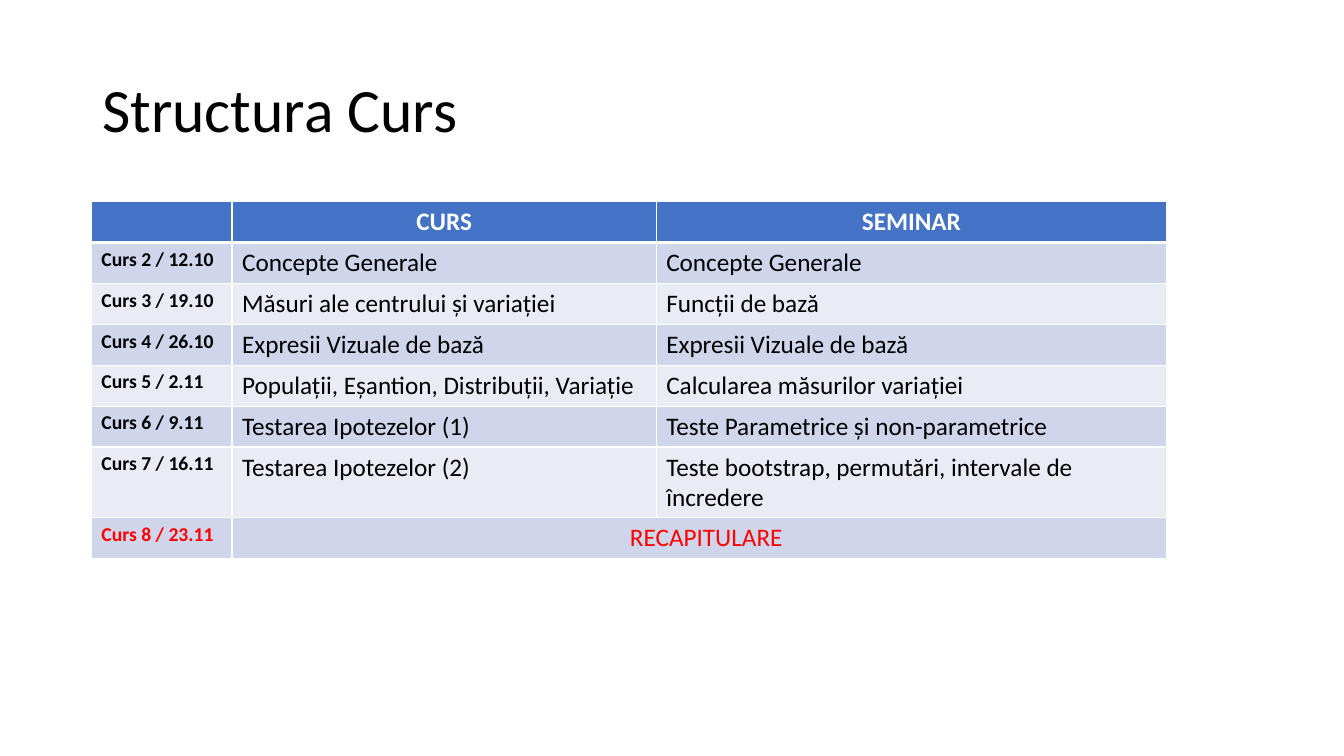
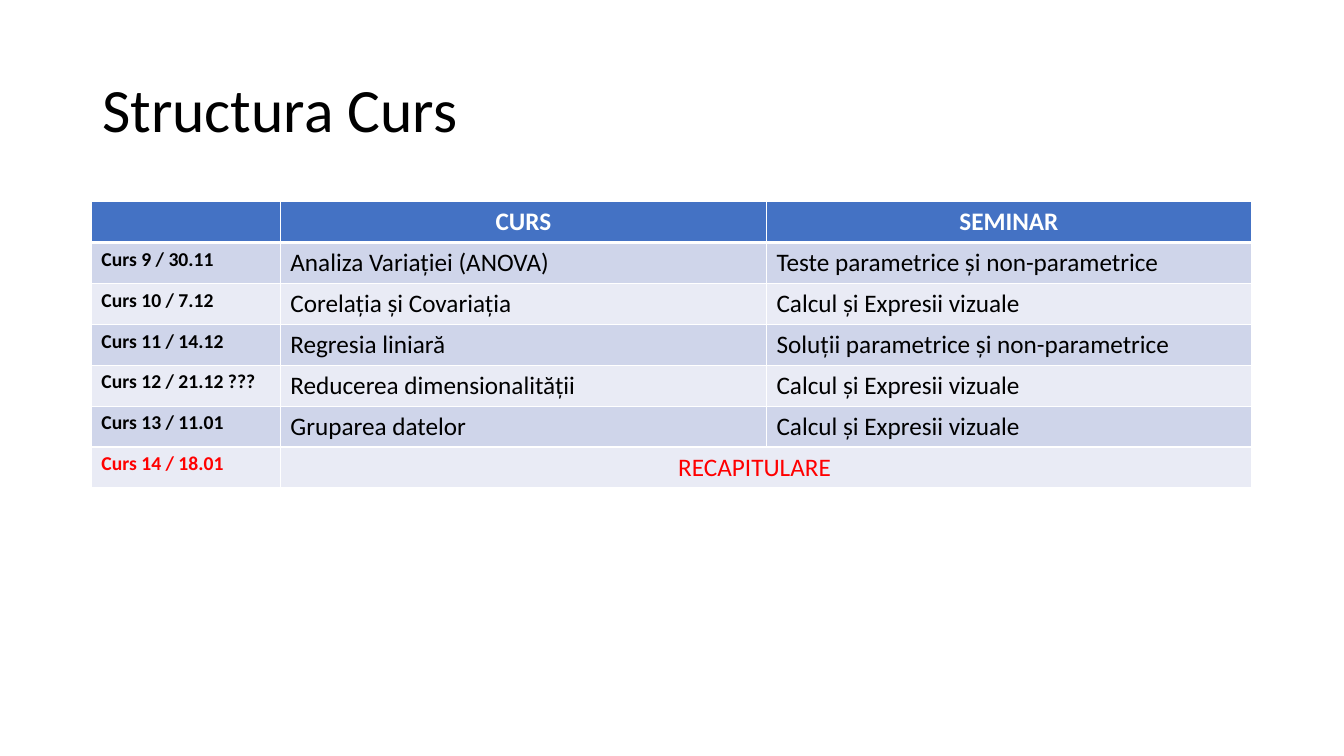
from dataclasses import dataclass

from lxml.etree import SubElement
from pptx import Presentation
from pptx.dml.color import RGBColor
from pptx.enum.text import MSO_ANCHOR, PP_ALIGN
from pptx.oxml.ns import qn
from pptx.util import Emu, Pt

EMU_PER_PX = 9525


@dataclass(frozen=True)
class Theme:
    font: str = "Calibri"
    title_size: int = 44
    body_size: int = 18
    label_size: int = 14
    text: str = "000000"
    inverse: str = "FFFFFF"
    accent: str = "FF0000"
    header_fill: str = "4472C4"
    band_fills: tuple = ("CFD5EA", "E9EBF5")
    border: str = "FFFFFF"
    thin: int = 1
    thick: int = 3


THEME = Theme()
SLIDE_SIZE = (1280, 720)
TITLE = "Structura Curs"
TITLE_BOX = (88, 38, 1104, 139)
TABLE_LEFT, TABLE_TOP = 87, 192
ROW_HEIGHT = 39
RECAP_MARGIN = 379
HEADERS = ("", "CURS", "SEMINAR")
RECAP = "RECAPITULARE"

SCHEDULES = (
    (
        (134, 404, 486),
        (
            ("Curs 2 / 12.10", "Concepte Generale", "Concepte Generale"),
            ("Curs 3 / 19.10", "Măsuri ale centrului și variației", "Funcții de bază"),
            ("Curs 4 / 26.10", "Expresii Vizuale de bază", "Expresii Vizuale de bază"),
            ("Curs 5 / 2.11", "Populații, Eșantion, Distribuții, Variație", "Calcularea măsurilor variației"),
            ("Curs 6 / 9.11", "Testarea Ipotezelor (1)", "Teste Parametrice și non-parametrice"),
            ("Curs 7 / 16.11", "Testarea Ipotezelor (2)", "Teste bootstrap, permutări, intervale de încredere"),
        ),
        "Curs 8 / 23.11",
    ),
    (
        (180, 463, 462),
        (
            ("Curs 9 / 30.11", "Analiza Variației (ANOVA)", "Teste parametrice și non-parametrice"),
            ("Curs 10 / 7.12", "Corelația și Covariația", "Calcul și Expresii vizuale"),
            ("Curs 11 / 14.12", "Regresia liniară", "Soluții parametrice și non-parametrice"),
            ("Curs 12 / 21.12 ???", "Reducerea dimensionalității", "Calcul și Expresii vizuale"),
            ("Curs 13 / 11.01", "Gruparea datelor", "Calcul și Expresii vizuale"),
        ),
        "Curs 14 / 18.01",
    ),
)


def px(length):
    return Emu(length * EMU_PER_PX)


def write_text(paragraph, text, size, color, bold=False, align=PP_ALIGN.LEFT):
    paragraph.text = text
    paragraph.alignment = align
    font = paragraph.font
    font.name = THEME.font
    font.size = Pt(size)
    font.bold = bold
    font.color.rgb = RGBColor.from_string(color)


def add_title(slide, text):
    frame = slide.shapes.add_textbox(*map(px, TITLE_BOX)).text_frame
    frame.word_wrap = True
    frame.vertical_anchor = MSO_ANCHOR.MIDDLE
    paragraph = frame.paragraphs[0]
    write_text(paragraph, text, THEME.title_size, THEME.text)
    paragraph.line_spacing = 0.9


def set_borders(cell, top, bottom):
    properties = cell._tc.get_or_add_tcPr()
    widths = {"a:lnL": THEME.thin, "a:lnR": THEME.thin, "a:lnT": top, "a:lnB": bottom}
    for tag, width in widths.items():
        line = SubElement(properties, qn(tag), w=str(Pt(width)))
        fill = SubElement(line, qn("a:solidFill"))
        SubElement(fill, qn("a:srgbClr"), val=THEME.border)


def style_cell(cell, row):
    set_borders(
        cell,
        top=THEME.thick if row == 1 else THEME.thin,
        bottom=THEME.thick if row == 0 else THEME.thin,
    )
    color = THEME.band_fills[(row - 1) % 2] if row else THEME.header_fill
    cell.fill.solid()
    cell.fill.fore_color.rgb = RGBColor.from_string(color)


def fill_cell(cell, text, row, column, color):
    paragraph = cell.text_frame.paragraphs[0]
    if row == 0:
        write_text(paragraph, text, THEME.body_size, THEME.inverse, True, PP_ALIGN.CENTER)
    elif column == 0:
        write_text(paragraph, text, THEME.label_size, color, True)
    else:
        write_text(paragraph, text, THEME.body_size, color)


def add_schedule(slide, widths, sessions, recap_label):
    rows = (HEADERS, *sessions, (recap_label, RECAP, ""))
    last = len(rows) - 1
    frame = slide.shapes.add_table(
        len(rows), len(widths), px(TABLE_LEFT), px(TABLE_TOP), px(sum(widths)), px(ROW_HEIGHT * len(rows))
    )
    table = frame.table
    table.horz_banding = False
    for column, width in zip(table.columns, widths):
        column.width = px(width)
    for row, texts in enumerate(rows):
        table.rows[row].height = px(ROW_HEIGHT)
        color = THEME.accent if row == last else THEME.text
        for column, text in enumerate(texts):
            cell = table.cell(row, column)
            style_cell(cell, row)
            fill_cell(cell, text, row, column, color)
    recap = table.cell(last, 1)
    recap.merge(table.cell(last, 2))
    recap.margin_left = px(RECAP_MARGIN)


def main():
    presentation = Presentation()
    presentation.slide_width, presentation.slide_height = map(px, SLIDE_SIZE)
    blank_layout = presentation.slide_layouts[6]
    for widths, sessions, recap_label in SCHEDULES:
        slide = presentation.slides.add_slide(blank_layout)
        add_title(slide, TITLE)
        add_schedule(slide, widths, sessions, recap_label)
    presentation.save("out.pptx")


if __name__ == "__main__":
    main()
